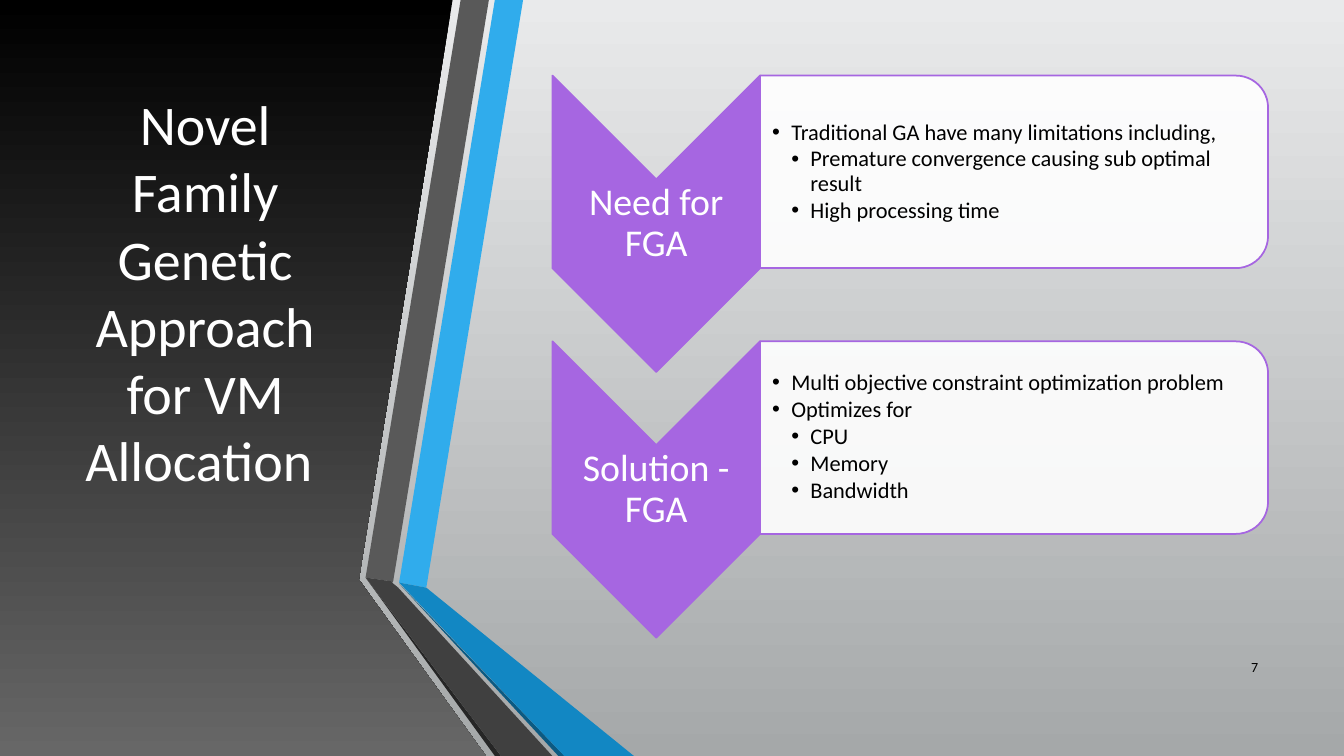
from lxml.etree import SubElement
from pptx import Presentation
from pptx.dml.color import RGBColor
from pptx.enum.shapes import MSO_SHAPE
from pptx.enum.text import MSO_ANCHOR, MSO_AUTO_SIZE, PP_ALIGN
from pptx.oxml.ns import qn
from pptx.util import Inches, Pt

BLACK = RGBColor(0x00, 0x00, 0x00)
WHITE = RGBColor(0xFF, 0xFF, 0xFF)
ASH = RGBColor(0x67, 0x67, 0x67)
PALE = RGBColor(0xE9, 0xEA, 0xEB)
SILVER = RGBColor(0xA5, 0xA8, 0xA9)
GREY = RGBColor(0x59, 0x59, 0x59)
COAL = RGBColor(0x40, 0x40, 0x40)
SOOT = RGBColor(0x26, 0x26, 0x26)
SKY = RGBColor(0x30, 0xAC, 0xEC)
NAVY = RGBColor(0x0C, 0x5A, 0x82)
OCEAN = RGBColor(0x12, 0x87, 0xC3)
VIOLET = RGBColor(0xA6, 0x66, 0xE1)

COLS, ROWS = 40, 22.5
CELL = Inches(1) / 3

# Outlines as (column, row) corners
PANEL = [(0, 0), (13.47, 0), (10.68, 17.25), (14.46, ROWS), (0, ROWS)]
BANDS = [
    (SKY, [(11.88, 17.34), (12.69, 17.49), (15.57, 0), (14.73, 0)]),
    (GREY, [(14.55, 0), (13.71, 0), (10.88, 17.19), (11.7, 17.31)]),
    (SOOT, [(10.88, 17.19), (14.73, ROWS), (14.91, ROWS)]),
    (NAVY, [(11.88, 17.37), (16.62, ROWS), (16.8, ROWS)]),
    (OCEAN, [(11.88, 17.34), (16.8, ROWS), (18.87, ROWS), (12.69, 17.49)]),
    (COAL, [(16.44, ROWS), (11.85, 17.49), (11.67, 17.34), (11.7, 17.31),
            (10.88, 17.19), (14.91, ROWS)]),
]
TITLE = "Novel Family Genetic Approach for VM Allocation "
STEPS = [
    ("Need for FGA", [
        (0, "Traditional GA have many limitations including,"),
        (1, "Premature convergence causing sub optimal result"),
        (1, "High processing time")]),
    ("Solution - FGA", [
        (0, "Multi objective constraint optimization problem"),
        (0, "Optimizes for"),
        (1, "CPU"),
        (1, "Memory"),
        (1, "Bandwidth ")]),
]
LEFT, TOP, PITCH = 16.44, 2.25, 7.91
ARROW_W, ARROW_H = 6.18, 8.82
CARD_W, CARD_H = 15.12, 5.73


def cells(*nums):
    """Turn grid counts into lengths."""
    return [round(n * CELL) for n in nums]


def put(thing, **vals):
    for name, val in vals.items():
        setattr(thing, name, val)


class Page:
    font = "Calibri"

    def __init__(self, deck):
        self.slide = deck.slides.add_slide(deck.slide_layouts[5])
        self.shapes = self.slide.shapes

    def blend(self, fill, top, base):
        fill.gradient()
        fill.gradient_angle = 270
        for stop, color in zip(fill.gradient_stops, (top, base)):
            stop.color.rgb = color

    def outline(self, points, color=None):
        spots = [cells(*p) for p in points]
        build = self.shapes.build_freeform(*spots[0], scale=1)
        build.add_line_segments(spots[1:], close=True)
        shape = build.convert_to_shape()
        shape.shadow.inherit = False
        shape.line.fill.background()
        if color is not None:
            shape.fill.solid()
            shape.fill.fore_color.rgb = color
        return shape

    def turned(self, kind, x, y, w, h, color, alpha=100):
        """Add a shape turned by 90 degrees that shows in the given box."""
        box = cells(x + (w - h) / 2, y + (h - w) / 2, h, w)
        shape = self.shapes.add_shape(kind, *box)
        shape.rotation = 90
        shape.shadow.inherit = False
        shape.fill.solid()
        shape.fill.fore_color.rgb = color
        shape.line.color.rgb = VIOLET
        shape.line.width = Pt(1.25)
        if alpha < 100:
            tint = shape.element.spPr.find(qn("a:solidFill"))[0]
            SubElement(tint, qn("a:alpha"), val=str(alpha * 1000))

    def typeset(self, frame, lines, size, color, align, pad=None, gap=0,
                lead=1, dots=False):
        """Fill a frame with (level, text) lines; pad is left, top, right, bottom."""
        put(frame, word_wrap=True, auto_size=MSO_AUTO_SIZE.NONE,
            vertical_anchor=MSO_ANCHOR.MIDDLE)
        for side, inch in zip(("left", "top", "right", "bottom"), pad or ()):
            setattr(frame, "margin_" + side, Inches(inch))
        for i, (level, text) in enumerate(lines):
            para = frame.add_paragraph() if i else frame.paragraphs[0]
            put(para, alignment=align, line_spacing=lead, space_after=Pt(gap),
                level=level)
            if dots:
                props = para._p.get_or_add_pPr()
                props.set("marL", str(Inches(0.19 * (level + 1))))
                props.set("indent", str(Inches(-0.19)))
                SubElement(props, qn("a:buFont"), typeface="Arial")
                SubElement(props, qn("a:buChar"), char="•")
            run = para.add_run()
            run.text = text
            put(run.font, name=self.font, size=Pt(size))
            run.font.color.rgb = color

    def label(self, box, lines, size, color, align, **style):
        frame = self.shapes.add_textbox(*cells(*box)).text_frame
        self.typeset(frame, lines, size, color, align, **style)

    def title(self, box, text, back):
        """Set the title and lift it above the back shape."""
        head = self.shapes.title
        put(head, **dict(zip(("left", "top", "width", "height"), cells(*box))))
        self.typeset(head.text_frame, [(0, text)], 40, WHITE, PP_ALIGN.CENTER,
                     pad=(0.1, 0.05, 0.1, 1.35))
        back.element.addnext(head.element)

    def step(self, y, name, points):
        side = LEFT + ARROW_W
        self.turned(MSO_SHAPE.CHEVRON, LEFT, y, ARROW_W, ARROW_H, VIOLET)
        self.label((LEFT, y + ARROW_W / 2, ARROW_W, ARROW_H - ARROW_W),
                   [(0, name)], 27, WHITE, PP_ALIGN.CENTER, lead=0.9,
                   pad=[0.02] * 4)
        self.turned(MSO_SHAPE.ROUND_2_SAME_RECTANGLE, side, y, CARD_W, CARD_H,
                    WHITE, alpha=90)
        self.label((side, y + 0.27, CARD_W - 0.27, CARD_H - 0.54), points, 16,
                   BLACK, PP_ALIGN.LEFT, pad=(0.12, 0.01, 0.01, 0.01),
                   gap=2, lead=0.9, dots=True)


def main():
    deck = Presentation()
    deck.slide_width, deck.slide_height = cells(COLS, ROWS)
    page = Page(deck)
    page.blend(page.slide.background.fill, PALE, SILVER)
    panel = page.outline(PANEL)
    page.blend(panel.fill, BLACK, ASH)
    page.title((1.77, 2.25, 8.67, 16.74), TITLE, panel)
    for color, points in BANDS:
        page.outline(points, color)
    for i, (name, points) in enumerate(STEPS):
        page.step(TOP + i * PITCH, name, points)
    page.label((35.94, 19.26, 1.8, 1.2), [(0, "7")], 10, BLACK, PP_ALIGN.RIGHT)
    deck.save("out.pptx")


if __name__ == "__main__":
    main()
